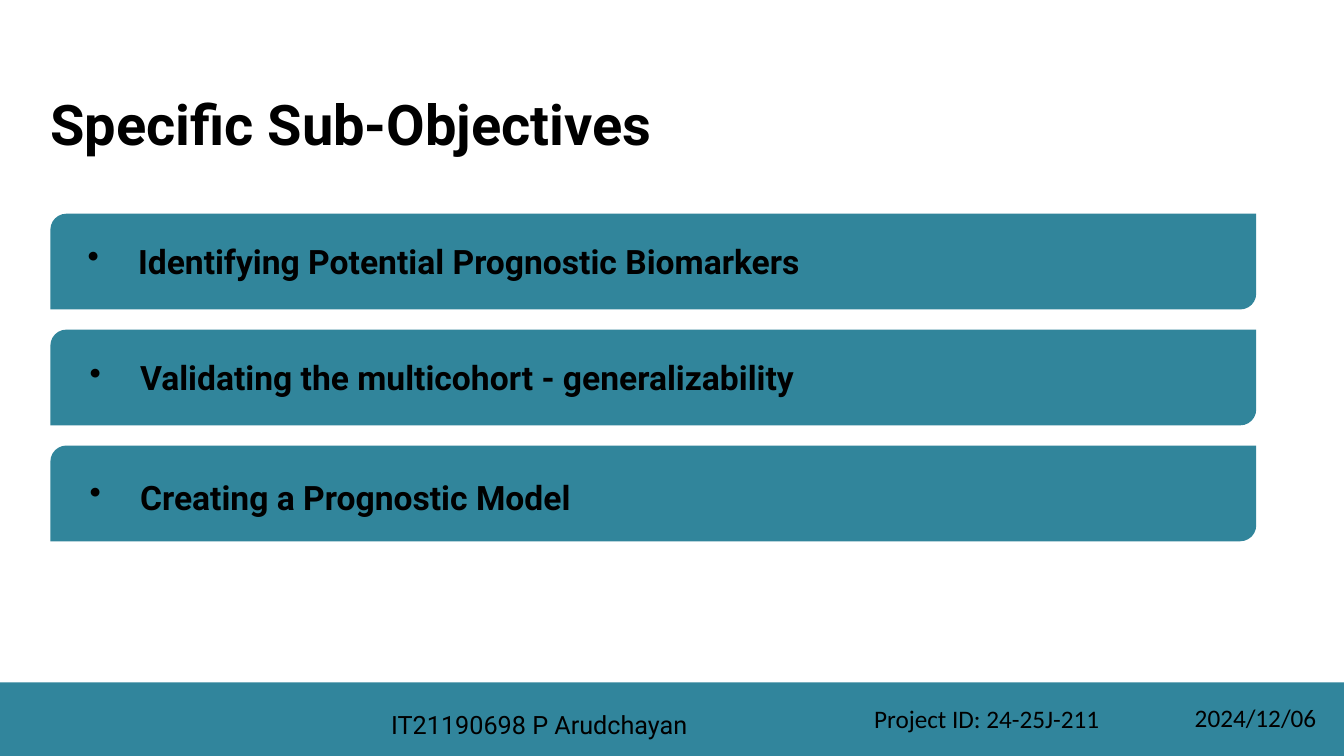
from lxml.etree import SubElement
from pptx import Presentation
from pptx.dml.color import RGBColor
from pptx.enum.shapes import MSO_SHAPE
from pptx.enum.text import MSO_ANCHOR
from pptx.oxml.ns import qn
from pptx.util import Inches, Pt

COLORS = {"bar": "31859B", "footer": "31859C", "text": "000000"}
OBJECTIVES = [
    ("Identifying Potential Prognostic Biomarkers", 0.51, 0),
    ("Validating the multicohort - generalizability", 0.53, 54.4),
    ("Creating a Prognostic Model", 0.53, 56.4),
]
FOOTER_LABELS = [
    ("IT21190698 P Arudchayan", "Roboto", 3.88, 0.21, 3.85, 1.19),
    ("Project ID: 24-25J-211", "Calibri", 8.67, 0.21, 2.3, 1),
    ("2024/12/06", "Calibri", 11.85, 0.2, 1.24, 1),
]


def add_block(slide, preset, left, top, width, height, color):
    """Draw a flat filled shape without an outline."""
    shape = slide.shapes.add_shape(
        preset, Inches(left), Inches(top), Inches(width), Inches(height))
    shape.shadow.inherit = False
    shape.fill.solid()
    shape.fill.fore_color.rgb = RGBColor.from_string(COLORS[color])
    shape.line.fill.background()


def add_text_frame(slide, left, top, width, height):
    """Return the frame of a wrapped text box with nearly no insets."""
    box = slide.shapes.add_textbox(
        Inches(left), Inches(top), Inches(width), Inches(height))
    frame = box.text_frame
    frame.word_wrap = True
    frame.vertical_anchor = MSO_ANCHOR.TOP
    frame.margin_left = frame.margin_right = frame.margin_bottom = 0
    frame.margin_top = Inches(0.01)
    return frame


def write(paragraph, text, font_name, size, bold=False):
    """Set the text of a paragraph and format its runs."""
    paragraph.text = text
    for run in paragraph.runs:
        run.font.name = font_name
        run.font.size = Pt(size)
        run.font.bold = bold
        run.font.color.rgb = RGBColor.from_string(COLORS["text"])


def add_bullet(paragraph, margin):
    """Give a paragraph a hanging round bullet."""
    properties = paragraph._p.get_or_add_pPr()
    properties.set("marL", str(Inches(margin)))
    properties.set("indent", str(Inches(-0.5)))
    bullet_color = SubElement(properties, qn("a:buClr"))
    SubElement(bullet_color, qn("a:srgbClr"), val=COLORS["text"])
    SubElement(properties, qn("a:buChar"), char="•")


def add_title(slide, left, top, width, height):
    """Place the slide heading."""
    frame = add_text_frame(slide, left, top, width, height)
    write(frame.paragraphs[0], "Specific Sub-Objectives", "Roboto", 40, True)


def add_objectives(slide, left, top, width, height):
    """Stack one bar per objective and lay the bulleted list over them."""
    bar_height = 0.95
    step = (height - bar_height) / (len(OBJECTIVES) - 1)
    for index in range(len(OBJECTIVES)):
        add_block(slide, MSO_SHAPE.ROUND_2_DIAG_RECTANGLE,
                  left, top + index * step, width, bar_height, "bar")
    frame = add_text_frame(
        slide, left + 0.36, top + 0.26, width - 0.36, height - 0.48)
    for index, (text, margin, space) in enumerate(OBJECTIVES):
        paragraph = frame.add_paragraph() if index else frame.paragraphs[0]
        add_bullet(paragraph, margin)
        paragraph.space_before = Pt(space)
        write(paragraph, text, "Roboto", 24, True)


def add_footer(slide, left, top, width, height):
    """Draw the bottom band with its labels."""
    add_block(slide, MSO_SHAPE.RECTANGLE, left, top, width, height, "footer")
    for text, font_name, x, y, label_width, spacing in FOOTER_LABELS:
        frame = add_text_frame(slide, left + x, top + y, label_width, 0.3)
        frame.margin_top = 0
        paragraph = frame.paragraphs[0]
        paragraph.line_spacing = spacing
        write(paragraph, text, font_name, 18)


def main():
    """Build and save the slide."""
    presentation = Presentation()
    presentation.slide_width = Inches(13.33)
    presentation.slide_height = Inches(7.5)
    slide = presentation.slides.add_slide(presentation.slide_layouts[6])
    add_title(slide, 0.5, 0.88, 6.09, 0.69)
    add_objectives(slide, 0.5, 2.12, 11.96, 3.25)
    add_footer(slide, 0, 6.77, 13.33, 0.73)
    presentation.save("out.pptx")


if __name__ == "__main__":
    main()
